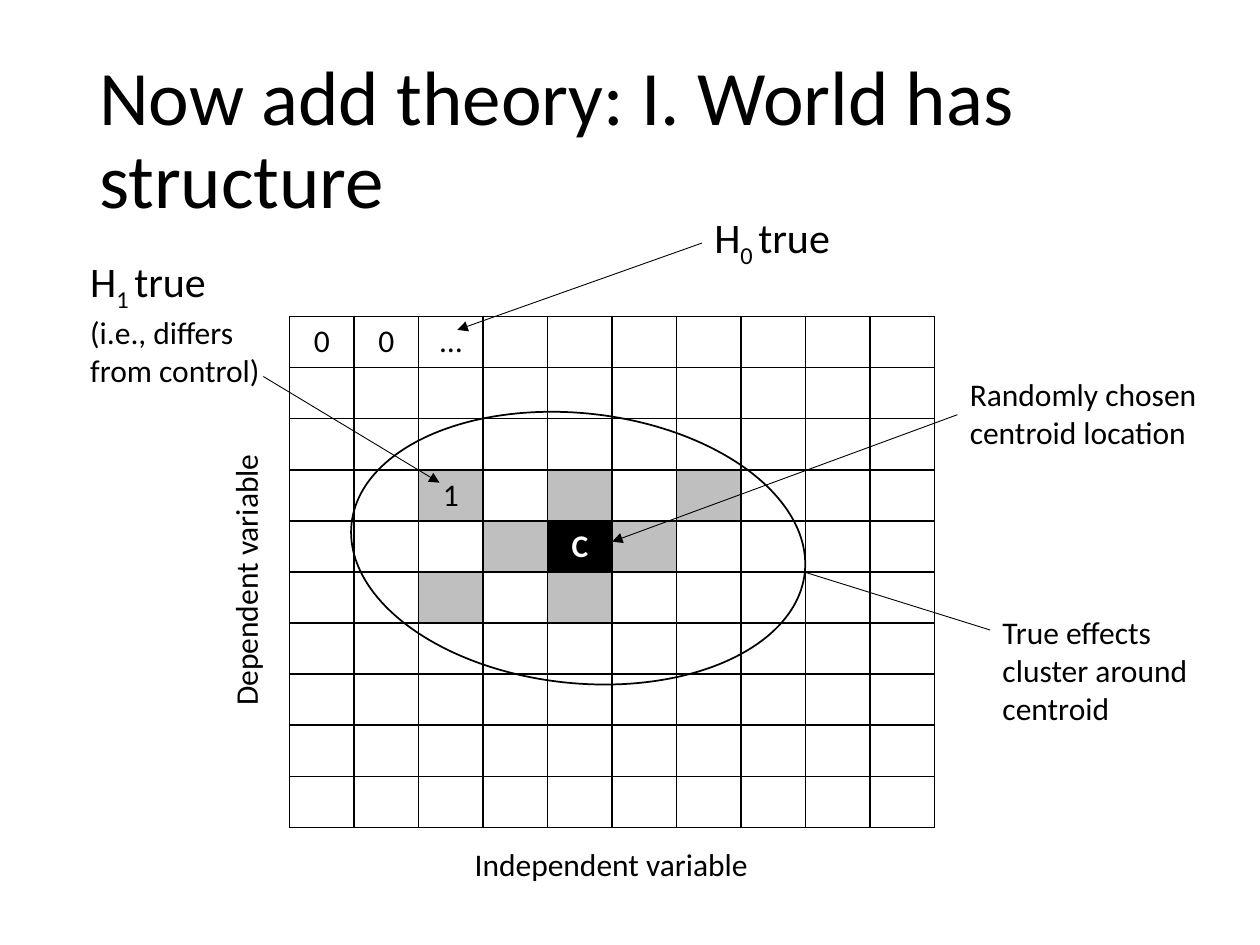
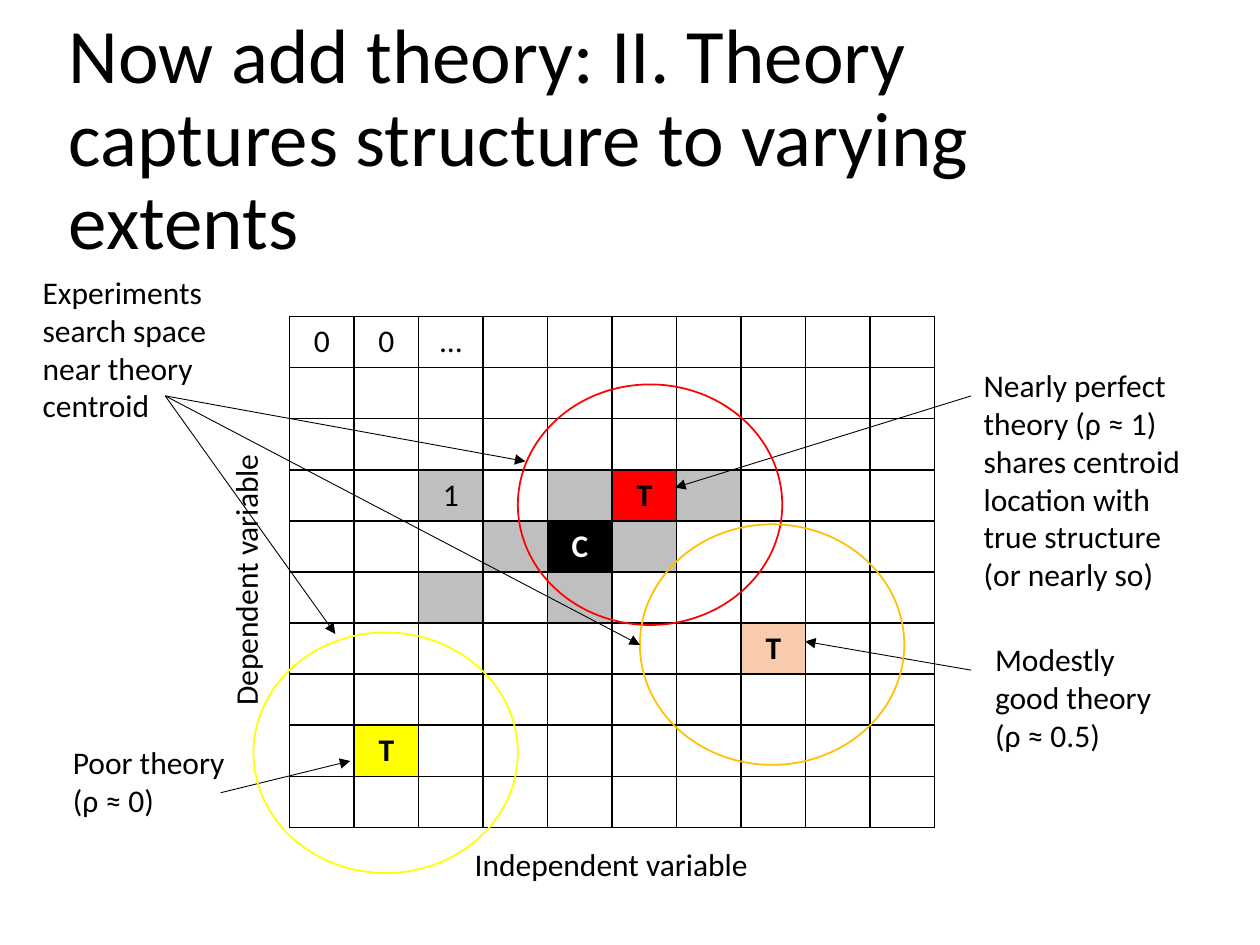
import lxml.etree
import pptx
import pptx.dml.color
import pptx.enum.shapes
import pptx.enum.text
import pptx.oxml.ns
import pptx.util
from pptx.util import Cm

BLACK, WHITE, GREY = "000000", "FFFFFF", "BFBFBF"
RED, ORANGE, PEACH, YELLOW = "FF0000", "FFC000", "F8CBAD", "FFFF00"
GRID_SIZE, CELL_WIDTH, CELL_HEIGHT = 10, 1.3, 1.03

# Grid cells by (row, column): text, fill, text colour, bold
STRUCTURE = {
    (0, 0): ("0", None, BLACK, False),
    (0, 1): ("0", None, BLACK, False),
    (0, 2): ("…", None, BLACK, False),
    (3, 2): ("1", GREY, BLACK, False),
    (4, 4): ("C", BLACK, WHITE, True),
}
for spot in [(3, 4), (3, 6), (4, 3), (4, 5), (5, 2), (5, 4)]:
    STRUCTURE[spot] = ("", GREY, BLACK, False)
THEORIES = {
    (3, 5): ("T", RED, BLACK, True),
    (6, 7): ("T", PEACH, BLACK, True),
    (8, 1): ("T", YELLOW, BLACK, True),
}


def rgb(code):
    return pptx.dml.color.RGBColor.from_string(code)


def add_xml(parent, tag, **attributes):
    return lxml.etree.SubElement(parent, pptx.oxml.ns.qn(tag), **attributes)


class Builder:
    font = "Calibri"
    body_size = 18
    title_size = 44

    def __init__(self, deck):
        self.deck = deck
        self.page = None

    def new_page(self, title, left, width):
        self.page = self.deck.slides.add_slide(self.deck.slide_layouts[6])
        box = self.text([[(title, self.title_size)]], left, 1.02, width, 3.68)
        frame = box.text_frame
        frame.auto_size = pptx.enum.text.MSO_AUTO_SIZE.NONE
        frame.vertical_anchor = pptx.enum.text.MSO_ANCHOR.MIDDLE
        frame.paragraphs[0].line_spacing = 0.9

    def span(self, para, words, size=None, color=BLACK, bold=False, baseline=0):
        for number, line in enumerate(words.split("\n")):
            if number:
                para.add_line_break()
            span = para.add_run()
            span.text = line
            span.font.name = self.font
            span.font.size = pptx.util.Pt(size or self.body_size)
            span.font.color.rgb = rgb(color)
            span.font.bold = bold
            if baseline:
                span._r.get_or_add_rPr().set("baseline", str(baseline * 1000))

    def text(self, paras, left, top, width, height, wrap=True, rotation=0):
        """Each paragraph is a list of (words, size, ...) tuples."""
        box = self.page.shapes.add_textbox(Cm(left), Cm(top), Cm(width), Cm(height))
        box.rotation = rotation
        frame = box.text_frame
        frame.word_wrap = wrap
        frame.auto_size = pptx.enum.text.MSO_AUTO_SIZE.SHAPE_TO_FIT_TEXT
        for number, spans in enumerate(paras):
            para = frame.add_paragraph() if number else frame.paragraphs[0]
            for details in spans:
                self.span(para, *details)
        return box

    def label(self, words, left, top, width, height, **options):
        return self.text([[(words,)]], left, top, width, height, **options)

    def hypothesis(self, index, left, top, width, height, remark=None):
        paras = [[("H", 24), (f"{index} ", 24, BLACK, False, -25), ("true", 24)]]
        if remark:
            paras.append([(remark,)])
        self.text(paras, left, top, width, height, wrap=False)

    def line(self, start, end, arrow=True):
        line = self.page.shapes.add_connector(
            pptx.enum.shapes.MSO_CONNECTOR.STRAIGHT, *map(Cm, start + end))
        line.line.color.rgb = rgb(BLACK)
        line.line.width = pptx.util.Pt(0.5)
        if arrow:
            add_xml(line.line._get_or_add_ln(), "a:tailEnd", type="triangle")
        add_xml(line._element.spPr, "a:effectLst")

    def ellipse(self, left, top, width=5.33, height=4.85, color=BLACK, rotation=0):
        shape = self.page.shapes.add_shape(
            pptx.enum.shapes.MSO_SHAPE.OVAL, Cm(left), Cm(top), Cm(width), Cm(height))
        shape.rotation = rotation
        shape.shadow.inherit = False
        shape.fill.background()
        shape.line.color.rgb = rgb(color)
        shape.line.width = pptx.util.Pt(1)

    def borders(self, cell):
        properties = cell._tc.get_or_add_tcPr()
        for side in ("a:lnL", "a:lnR", "a:lnT", "a:lnB"):
            border = add_xml(properties, side, w=str(pptx.util.Pt(1)))
            add_xml(add_xml(border, "a:solidFill"), "a:srgbClr", val=BLACK)

    def grid(self, contents):
        table = self.page.shapes.add_table(
            GRID_SIZE, GRID_SIZE, Cm(5.84), Cm(6.38),
            Cm(GRID_SIZE * CELL_WIDTH), Cm(GRID_SIZE * CELL_HEIGHT)).table
        table.first_row = table.horz_banding = False
        for column in table.columns:
            column.width = Cm(CELL_WIDTH)
        for row_number, row in enumerate(table.rows):
            row.height = Cm(CELL_HEIGHT)
            for column_number, cell in enumerate(row.cells):
                words, fill, color, bold = contents.get(
                    (row_number, column_number), ("", None, BLACK, False))
                self.borders(cell)
                if fill:
                    cell.fill.solid()
                    cell.fill.fore_color.rgb = rgb(fill)
                else:
                    cell.fill.background()
                para = cell.text_frame.paragraphs[0]
                para.alignment = pptx.enum.text.PP_ALIGN.CENTER
                para.font.size = pptx.util.Pt(self.body_size)
                if words:
                    self.span(para, words, color=color, bold=bold)
        # Axis names
        self.label("Independent variable", 9.32, 16.92, 6.25, 1.02, wrap=False)
        self.label("Dependent variable", 2.13, 11.15, 5.64, 1.02, wrap=False, rotation=270)


deck = pptx.Presentation()
deck.slide_width, deck.slide_height = Cm(25.4), Cm(19.05)
build = Builder(deck)

# Slide 1: the world has structure
build.new_page("Now add theory: I. World has structure", 1.75, 21.9)
build.grid(STRUCTURE)
build.line((14.15, 4.9), (9.22, 6.65))
build.hypothesis(0, 14.15, 4.14, 2.92, 1.27)
build.line((5.31, 7.59), (8.86, 9.73))
build.hypothesis(1, 1.57, 5.03, 3.96, 2.82, "(i.e., differs\nfrom control)")
build.line((19.3, 8.36), (12.34, 10.92))
build.label("Randomly chosen \ncentroid location", 19.3, 7.44, 5.31, 1.83, wrap=False)
build.ellipse(7.06, 8.33, 9.19, 5.44, rotation=6.2)
build.line((16.21, 11.53), (19.96, 12.7), arrow=False)
build.label("True effects cluster around centroid", 19.96, 12.24, 5.26, 2.57)

# Slide 2: theories of varying quality
build.new_page("Now add theory: II. Theory captures structure to varying extents", 1.14, 23.11)
build.grid({**STRUCTURE, **THEORIES})
build.line((19.58, 7.98), (13.61, 9.83))
build.label("Nearly perfect theory (ρ ≈ 1) shares centroid location with true structure "
            "(or nearly so)", 19.58, 7.26, 4.88, 4.88)
build.line((19.58, 13.51), (16.23, 12.93))
build.label("Modestly good theory (ρ ≈ 0.5)", 19.81, 12.78, 3.89, 2.57)
build.line((4.45, 15.98), (7.06, 15.34))
build.label("Poor theory (ρ ≈ 0)", 1.22, 14.86, 3.81, 2.57)

# Search areas around each theory
for left, top, color in [(10.44, 7.75, RED), (12.9, 10.57, ORANGE), (5.11, 12.75, YELLOW)]:
    build.ellipse(left, top, color=color)
for target in [(10.59, 9.3), (12.9, 13.0), (6.76, 12.78)]:
    build.line((3.33, 7.98), target)
build.label("Experiments search space near theory centroid", 0.61, 5.38, 4.24, 3.33)

deck.save("out.pptx")
